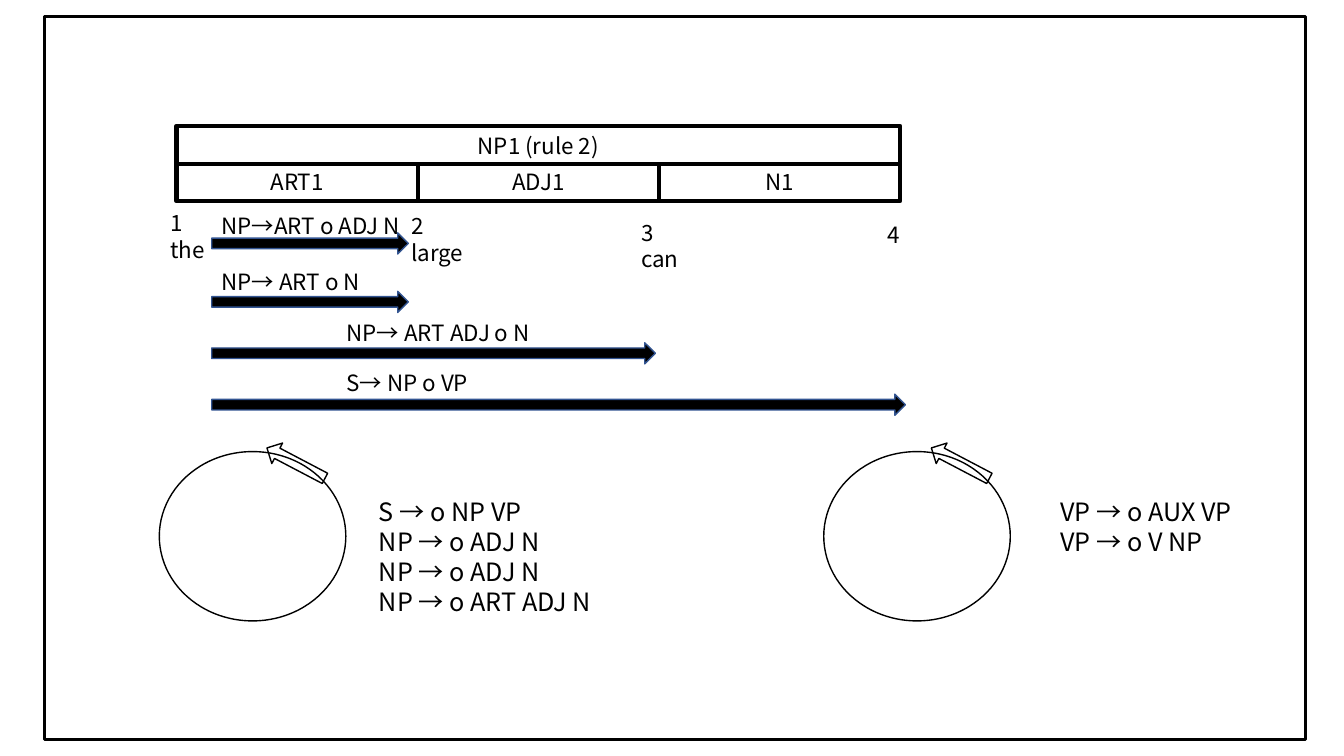
from pptx import Presentation
from pptx.dml.color import RGBColor
from pptx.enum.shapes import MSO_SHAPE as Shape
from pptx.enum.text import MSO_ANCHOR as Anchor, PP_ALIGN as Align
from pptx.util import Inches, Pt

FONT = "Noto Sans CJK KR"
BLACK, WHITE, ARROW_EDGE = "000000", "FFFFFF", "325491"
GRID = Inches(0.1)  # every position below counts columns and rows of this grid

presentation = Presentation()
presentation.slide_width, presentation.slide_height = Inches(13.33), Inches(7.5)
slide = presentation.slides.add_slide(presentation.slide_layouts[6])


def add_figure(parent, kind, box, edge=BLACK, weight=1, fill=None):
    shape = parent.add_shape(kind, *[round(length * GRID) for length in box])
    shape.shadow.inherit = False
    shape.line.color.rgb = RGBColor.from_string(edge)
    shape.line.width = Pt(weight)
    if fill:
        shape.fill.solid()
        shape.fill.fore_color.rgb = RGBColor.from_string(fill)
    else:
        shape.fill.background()
    return shape


def write(shape, lines, size=16, align=Align.LEFT, anchor=Anchor.TOP):
    frame = shape.text_frame
    frame.word_wrap = True
    frame.vertical_anchor = anchor
    frame.text = "\n".join(lines)
    for paragraph in frame.paragraphs:
        paragraph.alignment = align
        paragraph.line_spacing = Pt(size * 1.2)
        paragraph.font.name = FONT
        paragraph.font.size = Pt(size)
        paragraph.font.color.rgb = RGBColor.from_string(BLACK)


# Frame around the slide
add_figure(slide.shapes, Shape.RECTANGLE, (4.4, 1.6, 125.1, 71.8), weight=2)

# Constituents: three words under one noun phrase
chart_left, chart_top, cell_width, cell_height = 17.5, 12.5, 23.93, 3.8
constituents = [("ART1", 0, 1, 1), ("ADJ1", 1, 1, 1), ("N1", 2, 1, 1), ("NP1 (rule 2)", 0, 0, 3)]
for name, column, row, span in constituents:
    box = (chart_left + column * cell_width, chart_top + row * 3.65, span * cell_width, cell_height)
    cell = add_figure(slide.shapes, Shape.RECTANGLE, box, weight=3, fill=WHITE)
    write(cell, [name], align=Align.CENTER, anchor=Anchor.MIDDLE)

# Active arcs, all starting at the first word
for top, length in [(23.1, 19.5), (28.9, 19.5), (34, 44), (39.1, 68.8)]:
    add_figure(slide.shapes, Shape.RIGHT_ARROW, (21, top, length, 2.1), ARROW_EDGE, fill=BLACK)

# Loops of predicted rules at positions 1 and 4
for left in (15.8, 81.7):
    loop = slide.shapes.add_group_shape()
    add_figure(loop.shapes, Shape.OVAL, (left, 44.8, 18.5, 16.8))
    arrow = add_figure(loop.shapes, Shape.LEFT_ARROW, (left + 10.3, 44.8, 6.5, 2.3))
    arrow.rotation = 27.7

# Positions with words, arc labels and predicted rules
labels = [
    (["1 the"], 16, (15.9, 20.3, 6.9, 3.6)),
    (["2 large"], 16, (39.8, 20.6, 8.5, 3.6)),
    (["3 can"], 16, (62.6, 21.2, 6.6, 3.6)),
    (["4"], 16, (87, 21.4, 7.8, 3.7)),
    (["NP→ART o ADJ N"], 16, (21, 20.6, 20.6, 6.4)),
    (["NP→ ART o N"], 16, (21, 26.1, 20.6, 3.7)),
    (["NP→ ART ADJ o N"], 16, (33.4, 31.2, 24.5, 3.7)),
    (["S→ NP o VP"], 16, (33.4, 36.1, 19.5, 3.6)),
    (["S → o NP VP", "NP → o ADJ N", "NP → o ADJ N", "NP → o ART ADJ N"], 18, (36.6, 48.7, 26, 13.1)),
    (["VP → o AUX VP", "VP → o V NP"], 18, (104.2, 48.7, 26, 7.1)),
]
for lines, size, box in labels:
    write(slide.shapes.add_textbox(*[round(length * GRID) for length in box]), lines, size)

presentation.save("out.pptx")
